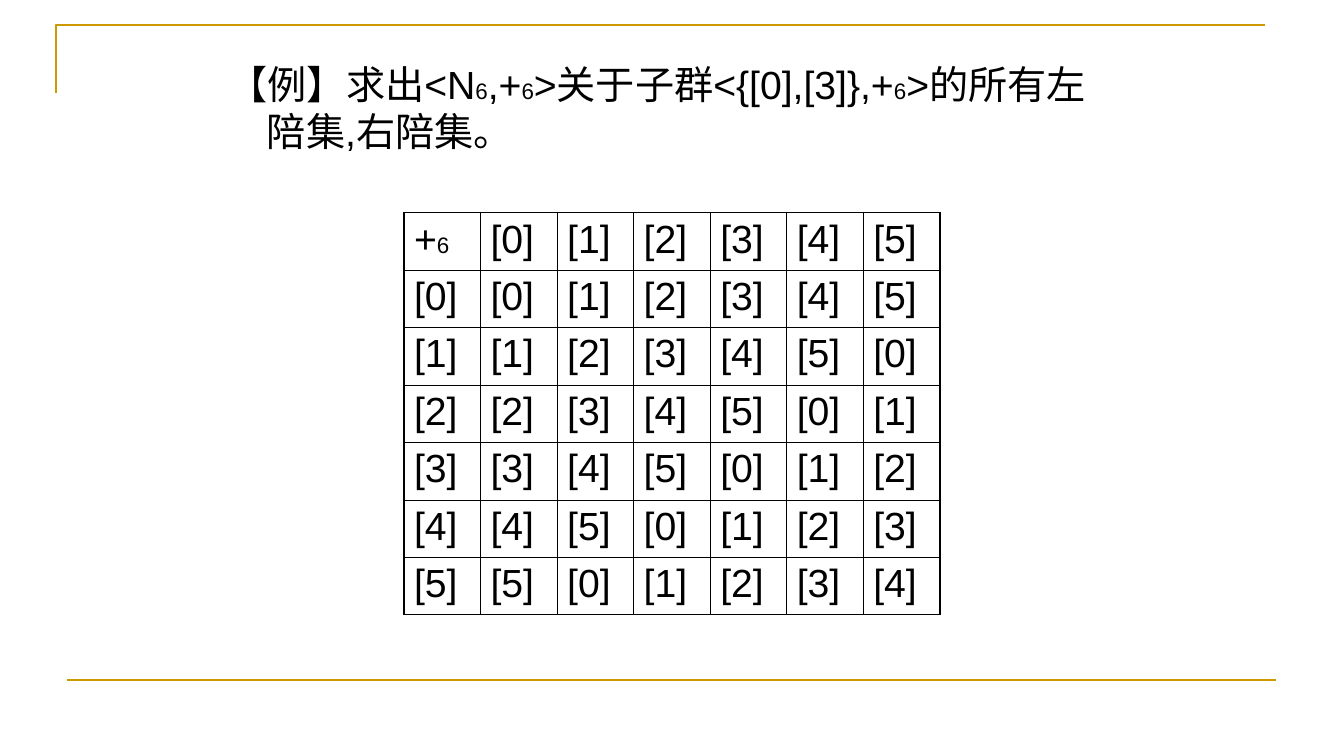
"""Build the slide on the cosets of a subgroup of the integers modulo six."""
from lxml.etree import SubElement
from pptx import Presentation
from pptx.dml.color import RGBColor
from pptx.enum.shapes import MSO_CONNECTOR
from pptx.enum.text import MSO_ANCHOR, MSO_AUTO_SIZE, PP_ALIGN
from pptx.oxml import parse_xml
from pptx.oxml.ns import nsdecls, qn
from pptx.util import Pt

PX = 9144
BLACK = RGBColor(0x00, 0x00, 0x00)
GOLD = RGBColor(0xCC, 0x99, 0x00)
ORDER = 6
SIDE = ORDER + 1
COLUMN_WIDTH = 76
ROW_HEIGHT = 57
TEXT_SIZE = 28
INDEX_SIZE = 16


def add_text(paragraph, text, size=TEXT_SIZE, color=BLACK, font="Arial"):
    run = paragraph.add_run()
    run.text = text
    run.font.size = Pt(size)
    run.font.name = font
    run.font.color.rgb = color


def set_border(cell, position, edge, width):
    border = parse_xml(
        f'<a:ln{edge} {nsdecls("a")} w="{Pt(width)}"><a:solidFill>'
        f'<a:srgbClr val="{BLACK}"/></a:solidFill></a:ln{edge}>'
    )
    cell._tc.get_or_add_tcPr().insert(position, border)


presentation = Presentation()
presentation.slide_width = 1334 * PX
presentation.slide_height = 750 * PX
slide = presentation.slides.add_slide(presentation.slide_layouts[5])

builder = slide.shapes.build_freeform(56, 92, scale=PX)
builder.add_line_segments([(56, 25), (1256, 25)], close=False)
corner = builder.convert_to_shape()
corner.shadow.inherit = False
corner.fill.background()
bottom_rule = slide.shapes.add_connector(
    MSO_CONNECTOR.STRAIGHT, 67 * PX, 675 * PX, 1267 * PX, 675 * PX
)
SubElement(bottom_rule._element.spPr, qn("a:effectLst"))
for frame_line in (corner.line, bottom_rule.line):
    frame_line.color.rgb = GOLD
    frame_line.width = Pt(1.5)

title = slide.shapes.title
title.left, title.top = 217 * PX, 55 * PX
title.width, title.height = 900 * PX, 616 * PX
title.text_frame.word_wrap = True
title.text_frame.auto_size = MSO_AUTO_SIZE.NONE
title.text_frame.vertical_anchor = MSO_ANCHOR.TOP
question = title.text_frame.paragraphs[0]
question.alignment = PP_ALIGN.LEFT
question_properties = question._p.get_or_add_pPr()
question_properties.set("marL", str(38 * PX))
question_properties.set("indent", str(-38 * PX))
for text, size in [
    ("【例】求出<N", TEXT_SIZE),
    ("6", INDEX_SIZE),
    (",+", TEXT_SIZE),
    ("6", INDEX_SIZE),
    (">关于子群<{[0],[3]},+", TEXT_SIZE),
    ("6", INDEX_SIZE),
    (">的所有左陪集,右陪集。", TEXT_SIZE),
]:
    add_text(question, text, size=size)

table = slide.shapes.add_table(
    SIDE, SIDE, 401 * PX, 211 * PX, SIDE * COLUMN_WIDTH * PX, SIDE * ROW_HEIGHT * PX
).table
table.first_row = False
table.horz_banding = False
for column in table.columns:
    column.width = COLUMN_WIDTH * PX
for row in table.rows:
    row.height = ROW_HEIGHT * PX

for row_index in range(SIDE):
    for column_index in range(SIDE):
        cell = table.cell(row_index, column_index)
        cell.fill.background()
        paragraph = cell.text_frame.paragraphs[0]
        if row_index == column_index == 0:
            add_text(paragraph, "+")
            add_text(paragraph, str(ORDER), size=INDEX_SIZE)
        else:
            total = max(row_index - 1, 0) + max(column_index - 1, 0)
            add_text(paragraph, f"[{total % ORDER}]")
        outer_edges = {
            "L": column_index == 0,
            "R": column_index == ORDER,
            "T": row_index == 0,
            "B": row_index == ORDER,
        }
        for position, (edge, is_outer) in enumerate(outer_edges.items()):
            set_border(cell, position, edge, 1.08 if is_outer else 0.45)

presentation.save("out.pptx")
